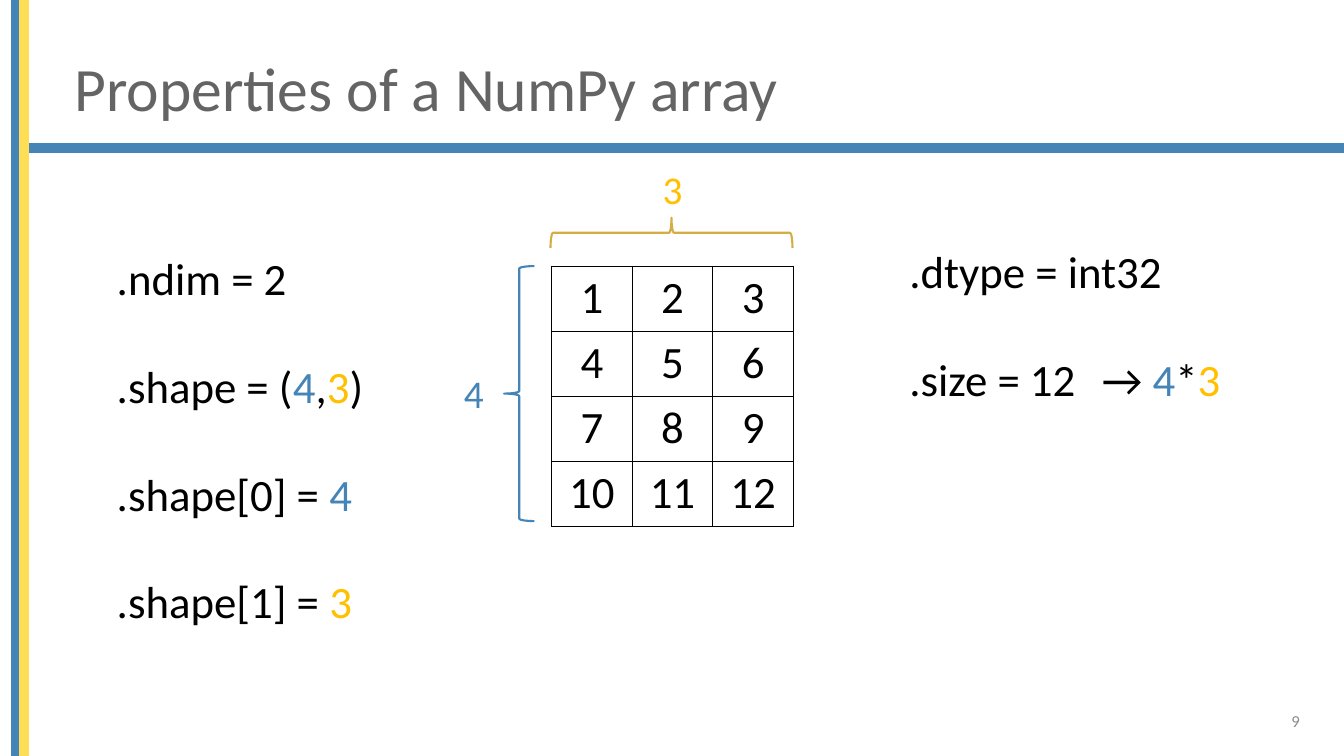
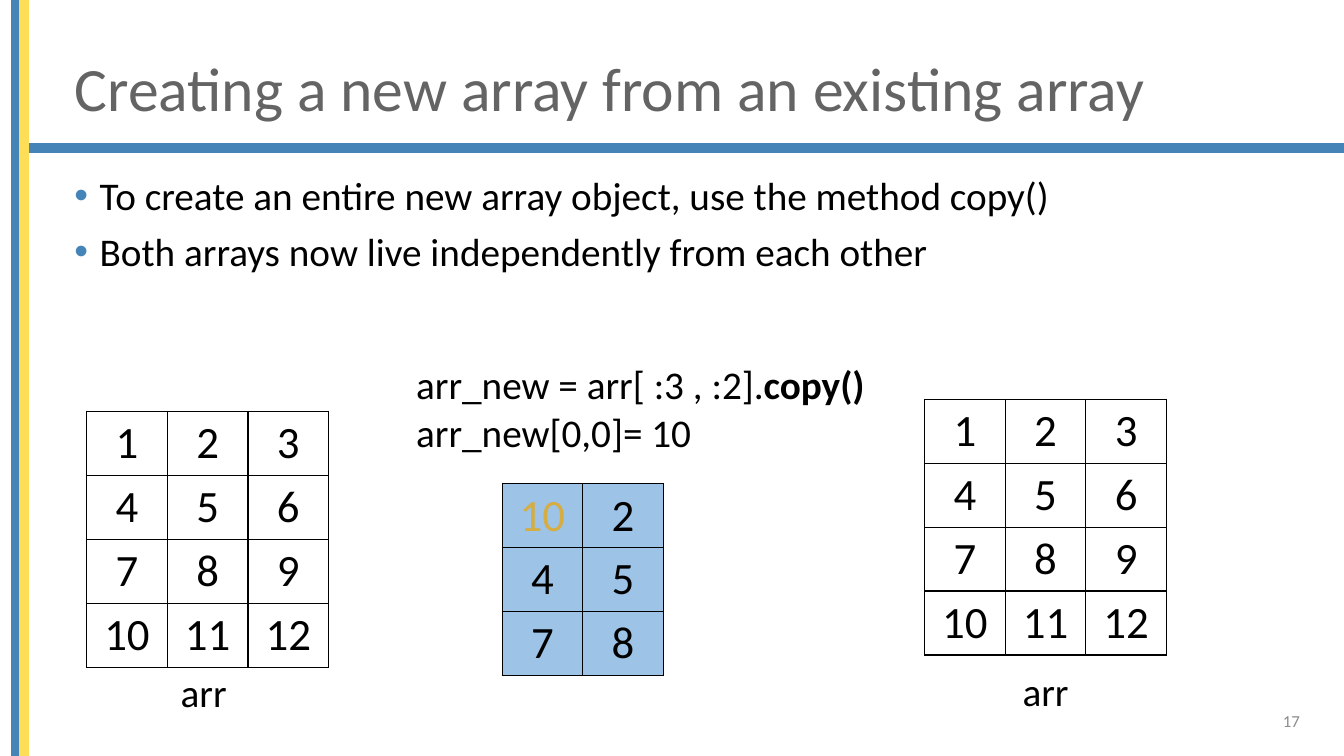
from dataclasses import dataclass

import pptx
import pptx.dml.color
import pptx.enum.shapes
import pptx.enum.text
import pptx.oxml
import pptx.oxml.ns
import pptx.slide
import pptx.text.text
import pptx.util
from pptx.util import Inches, Pt

# Shared style
FONT = "Calibri"
BLUE, YELLOW = "4584B6", "FFDE57"
AMBER, GOLD = "FFC000", "D5AD42"
BLACK, WHITE = "000000", "FFFFFF"
TITLE_GREY, NUMBER_GREY, LIGHT_BLUE = "646464", "8C8C8C", "9DC3E6"
SLIDE_WIDTH, SLIDE_HEIGHT = 13.33, 7.5
CELL_WIDTH = 0.8
LABEL_WIDTH, LABEL_HEIGHT = 0.8, 0.57
BLANK_LINE = 38.5

ALIGN = pptx.enum.text.PP_ALIGN
ANCHOR = pptx.enum.text.MSO_ANCHOR
SHAPE = pptx.enum.shapes.MSO_SHAPE


@dataclass(frozen=True)
class Box:
    left: float
    top: float
    width: float
    height: float

    def lengths(self) -> tuple:
        return tuple(Inches(x) for x in (self.left, self.top, self.width, self.height))


@dataclass(frozen=True)
class Span:
    text: str
    color: str = ""
    bold: bool = False


@dataclass(frozen=True)
class TextStyle:
    size: float
    color: str = BLACK
    align: ALIGN = ALIGN.LEFT
    anchor: ANCHOR = ANCHOR.TOP
    line_spacing: float = 1.0
    gap: float = 0
    bullet: bool = False
    tab: float = 0


@dataclass(frozen=True)
class Band:
    box: Box
    color: str


@dataclass(frozen=True)
class Brace:
    box: Box
    color: str
    rotation: float = 0


@dataclass(frozen=True)
class Grid:
    left: float
    top: float
    height: float
    values: list
    fill: str = WHITE
    marked: str = ""


BANDS = [
    Band(Box(0.19, 1.43, SLIDE_WIDTH - 0.19, 0.08), BLUE),
    Band(Box(0.12, 0, 0.08, SLIDE_HEIGHT), BLUE),
    Band(Box(0.2, 0, 0.08, SLIDE_HEIGHT), YELLOW),
]
TITLE = TextStyle(44, TITLE_GREY, anchor=ANCHOR.MIDDLE, line_spacing=0.9)
NUMBER = TextStyle(12, NUMBER_GREY, ALIGN.RIGHT, ANCHOR.MIDDLE)
BODY = TextStyle(28, line_spacing=0.9, gap=10, bullet=True)
CODE = TextStyle(28)
PROPERTIES = TextStyle(32, gap=BLANK_LINE, tab=1.91)
CELL = TextStyle(32, align=ALIGN.CENTER)
ARRAY = [[row * 3 + column + 1 for column in range(3)] for row in range(4)]


def rgb(color: str) -> pptx.dml.color.RGBColor:
    return pptx.dml.color.RGBColor.from_string(color)


def add_xml(parent, xml: str) -> None:
    """Append a drawing element, written without its namespace declaration."""
    tag, rest = xml[:xml.index(" ")], xml[xml.index(" "):]
    parent.append(pptx.oxml.parse_xml(f"{tag} {pptx.oxml.ns.nsdecls('a')}{rest}"))


# Text
def format_paragraph(paragraph: pptx.text.text._Paragraph, style: TextStyle) -> None:
    properties = paragraph._p.get_or_add_pPr()
    if style.bullet:
        indent = Inches(0.25)
        properties.set("marL", str(indent))
        properties.set("indent", str(-indent))
        add_xml(properties, f'<a:buClr ><a:srgbClr val="{BLUE}"/></a:buClr>')
        add_xml(properties, '<a:buFont typeface="Arial"/>')
        add_xml(properties, '<a:buChar char="•"/>')
    if style.tab:
        add_xml(properties, f'<a:tabLst ><a:tab pos="{Inches(style.tab)}" algn="l"/></a:tabLst>')
    paragraph.alignment = style.align
    paragraph.line_spacing = style.line_spacing
    paragraph.font.name = FONT
    paragraph.font.size = Pt(style.size)
    paragraph.font.color.rgb = rgb(style.color)


def write_text(frame: pptx.text.text.TextFrame, lines: list, style: TextStyle) -> None:
    """Write each line, a string or a list of spans, as one paragraph."""
    for index, line in enumerate(lines):
        paragraph = frame.add_paragraph() if index else frame.paragraphs[0]
        format_paragraph(paragraph, style)
        if index:
            paragraph.space_before = Pt(style.gap)
        for span in [Span(line)] if isinstance(line, str) else line:
            run = paragraph.add_run()
            run.text = span.text
            if span.color:
                run.font.color.rgb = rgb(span.color)
            if span.bold:
                run.font.bold = True


def add_text(slide: pptx.slide.Slide, box: Box, lines: list, style: TextStyle) -> None:
    frame = slide.shapes.add_textbox(*box.lengths()).text_frame
    frame.word_wrap = True
    frame.vertical_anchor = style.anchor
    write_text(frame, lines, style)


def add_label(slide: pptx.slide.Slide, center: float, top: float, text: str,
              color: str = BLACK) -> None:
    box = Box(center - LABEL_WIDTH / 2, top, LABEL_WIDTH, LABEL_HEIGHT)
    add_text(slide, box, [text], TextStyle(28, color, ALIGN.CENTER))


# Shapes and tables
def add_band(slide: pptx.slide.Slide, band: Band) -> None:
    shape = slide.shapes.add_shape(SHAPE.RECTANGLE, *band.box.lengths())
    shape.shadow.inherit = False
    shape.fill.solid()
    shape.fill.fore_color.rgb = rgb(band.color)
    shape.line.color.rgb = rgb(band.color)
    shape.line.width = Pt(1)


def add_brace(slide: pptx.slide.Slide, brace: Brace) -> None:
    shape = slide.shapes.add_shape(SHAPE.LEFT_BRACE, *brace.box.lengths())
    shape.shadow.inherit = False
    shape.rotation = brace.rotation
    shape.fill.background()
    shape.line.color.rgb = rgb(brace.color)
    shape.line.width = Pt(1.5)


def add_grid(slide: pptx.slide.Slide, grid: Grid) -> None:
    rows, columns = len(grid.values), len(grid.values[0])
    box = Box(grid.left, grid.top, columns * CELL_WIDTH, grid.height)
    table = slide.shapes.add_table(rows, columns, *box.lengths()).table
    table.first_row = table.horz_banding = False
    for column in table.columns:
        column.width = Inches(CELL_WIDTH)
    for row, values in enumerate(grid.values):
        table.rows[row].height = Inches(grid.height / rows)
        for column, value in enumerate(values):
            cell = table.cell(row, column)
            cell.margin_top = cell.margin_bottom = Inches(0.04)
            cell.vertical_anchor = ANCHOR.MIDDLE
            for side in ("lnL", "lnR", "lnT", "lnB"):
                add_xml(cell._tc.get_or_add_tcPr(),
                        f'<a:{side} w="{Pt(1)}"><a:solidFill>'
                        f'<a:srgbClr val="{BLACK}"/></a:solidFill></a:{side}>')
            cell.fill.solid()
            cell.fill.fore_color.rgb = rgb(grid.fill)
            color = grid.marked if row == column == 0 else ""
            write_text(cell.text_frame, [[Span(str(value), color)]], CELL)


# Slides
def add_slide(presentation, title: str, number: int) -> pptx.slide.Slide:
    slide = presentation.slides.add_slide(presentation.slide_layouts[6])
    for band in BANDS:
        add_band(slide, band)
    add_text(slide, Box(0.64, 0.4, 11.78, 1.01), [title], TITLE)
    add_text(slide, Box(9.99, 6.95, 3, 0.4), [str(number)], NUMBER)
    return slide


def build_properties(presentation) -> None:
    slide = add_slide(presentation, "Properties of a NumPy array", 9)
    row_count, column_count = Span("4", BLUE), Span("3", AMBER)
    add_grid(slide, Grid(5.47, 2.64, 2.58, ARRAY))
    add_text(slide, Box(1.06, 2.44, 3.2, 3.87), [
        ".ndim = 2",
        [Span(".shape = ("), row_count, Span(","), column_count, Span(")")],
        [Span(".shape[0] = "), row_count],
        [Span(".shape[1] = "), column_count],
    ], PROPERTIES)
    add_text(slide, Box(8.92, 2.37, 4.22, 1.72), [
        ".dtype = int32",
        [Span(".size = 12\t→ "), row_count, Span("*"), column_count],
    ], PROPERTIES)
    add_brace(slide, Brace(Box(5, 2.64, 0.3, 2.53), BLUE))
    add_label(slide, 4.7, 3.61, "4", BLUE)
    add_brace(slide, Brace(Box(6.51, 1.11, 0.3, 2.4), GOLD, 90))
    add_label(slide, 6.67, 1.59, "3", AMBER)


def build_copy(presentation) -> None:
    slide = add_slide(presentation, "Creating a new array from an existing array", 17)
    add_text(slide, Box(0.64, 1.7, 12.35, 1.3), [
        "To create an entire new array object, use the method copy()",
        "Both arrays now live independently from each other",
    ], BODY)
    add_text(slide, Box(4.03, 3.53, 5, 1.05), [
        [Span("arr_new = arr[ :3 , :2]."), Span("copy()", bold=True)],
        "arr_new[0,0]= 10",
    ], CODE)
    new_array = [row[:2] for row in ARRAY[:3]]
    new_array[0][0] = 10
    add_grid(slide, Grid(0.86, 4.08, 2.54, ARRAY))
    add_grid(slide, Grid(4.98, 4.8, 1.9, new_array, LIGHT_BLUE, GOLD))
    add_grid(slide, Grid(9.17, 3.96, 2.54, ARRAY))
    add_label(slide, 2.02, 6.58, "arr")
    add_label(slide, 10.37, 6.57, "arr")


def main() -> None:
    presentation = pptx.Presentation()
    presentation.slide_width = Inches(SLIDE_WIDTH)
    presentation.slide_height = Inches(SLIDE_HEIGHT)
    build_properties(presentation)
    build_copy(presentation)
    presentation.save("out.pptx")


if __name__ == "__main__":
    main()
